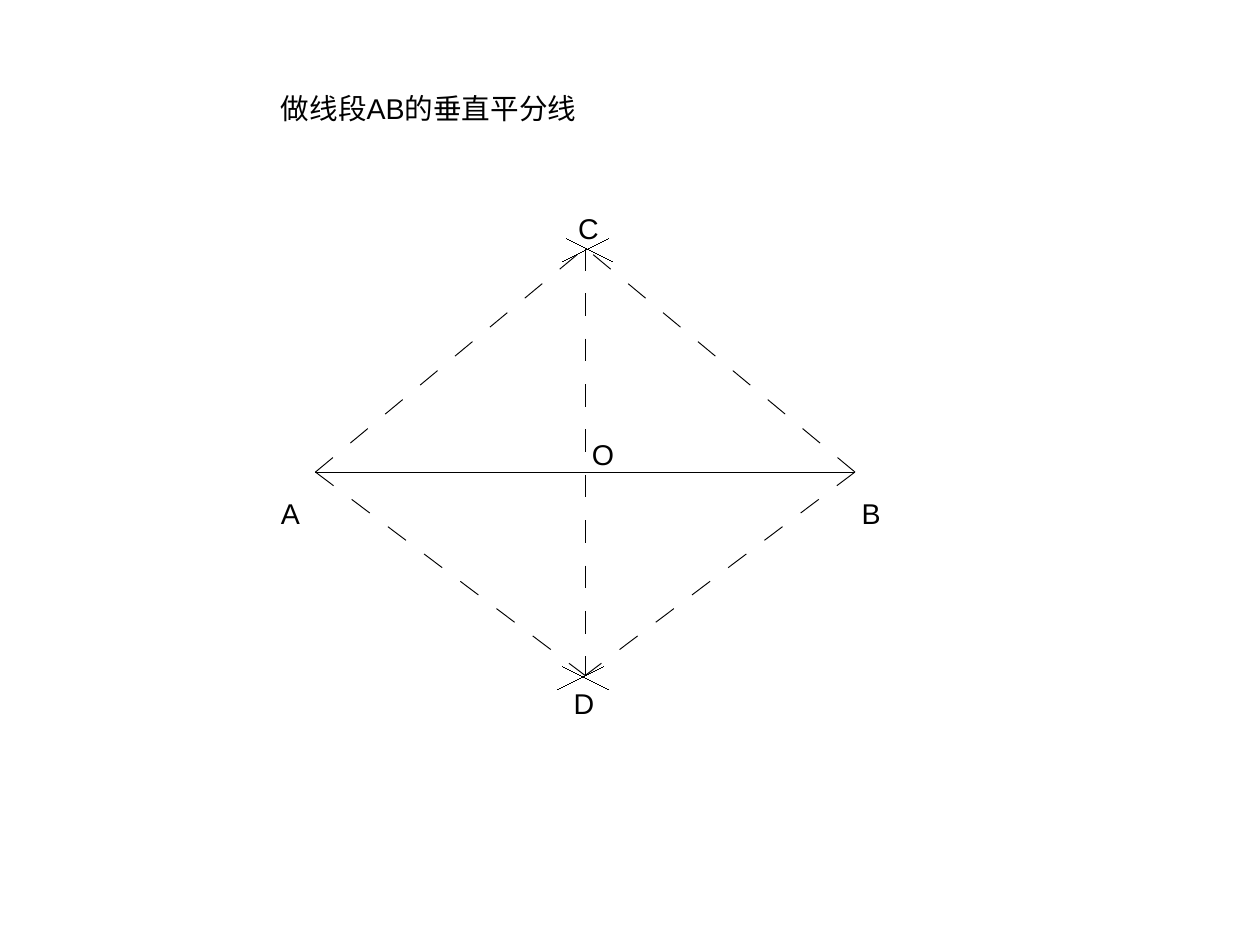
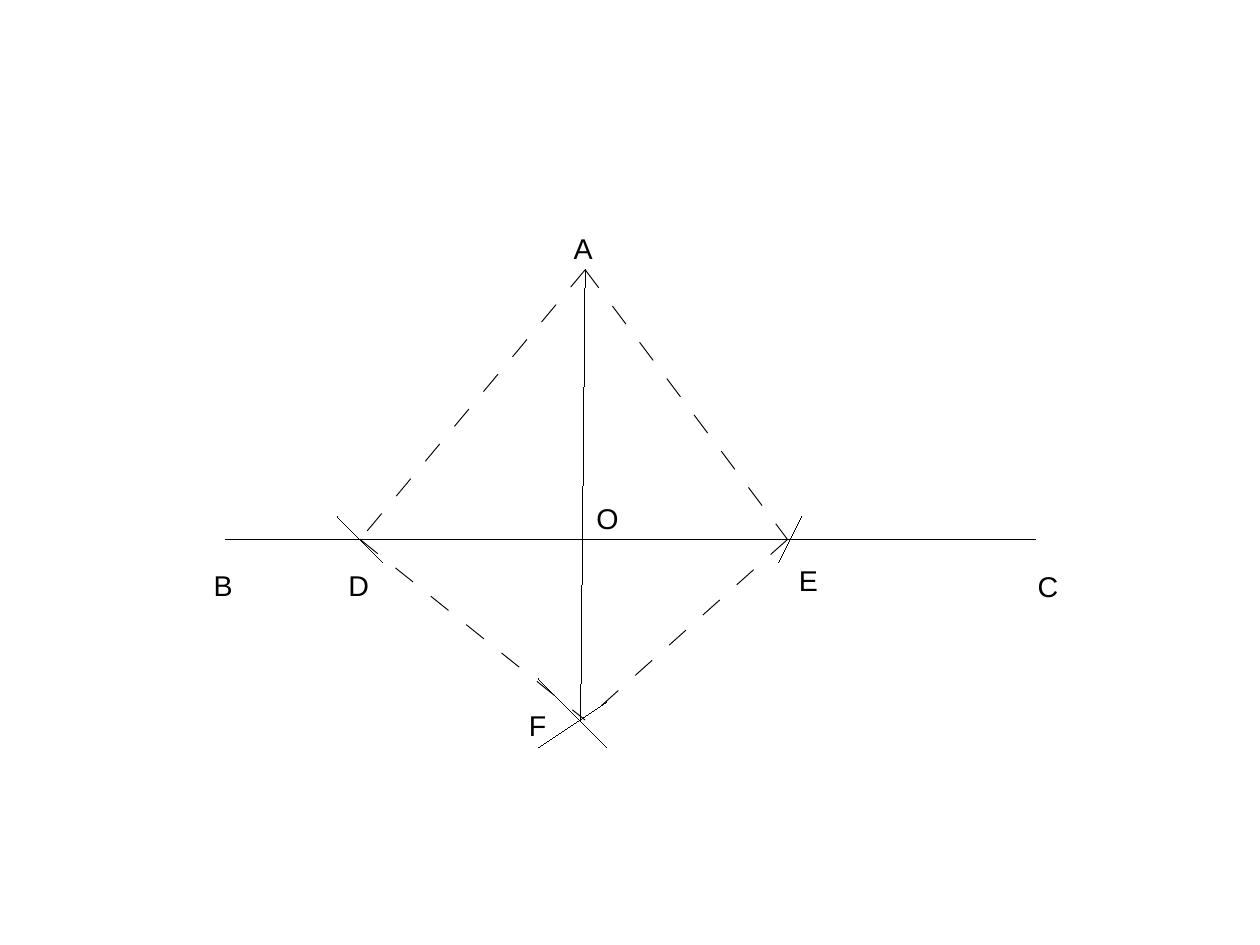
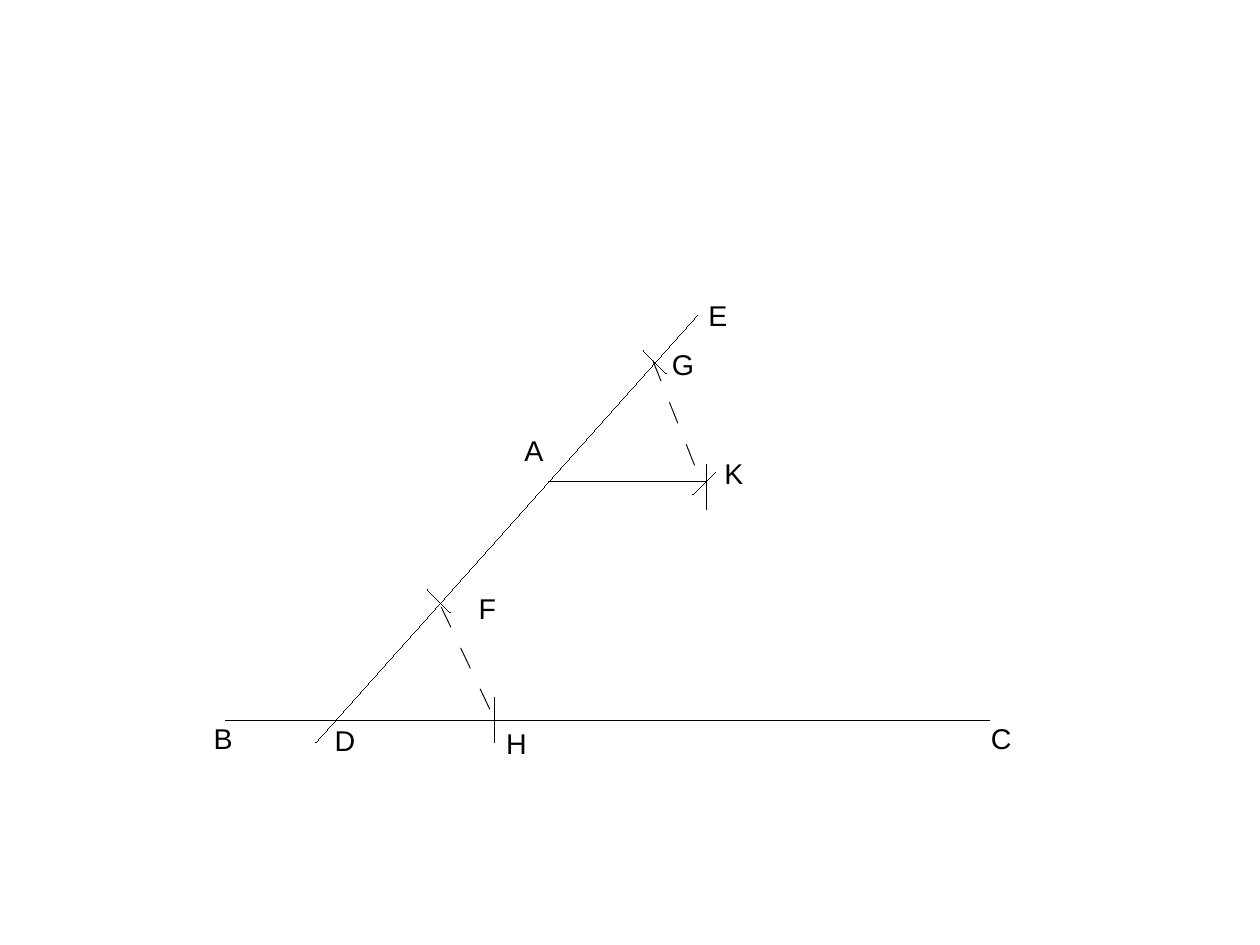
from dataclasses import dataclass

from lxml import etree
from pptx import Presentation
from pptx.dml.color import RGBColor
from pptx.enum.shapes import MSO_CONNECTOR
from pptx.oxml.ns import qn
from pptx.util import Inches, Pt

STRAIGHT = MSO_CONNECTOR.STRAIGHT
CM_PER_INCH = 2.54


@dataclass(frozen=True)
class Theme:
    ink: RGBColor = RGBColor(0, 0, 0)
    font: str = "Arial"
    size: float = 18
    solid_width: float = 0.01
    dashed_width: float = 0.6
    dash_length: float = 0.2


@dataclass(frozen=True)
class Box:
    left: float
    top: float
    width: float
    height: float


THEME = Theme()


def add_text(s, left, top, width, text):
    tb = s.shapes.add_textbox(Inches(left), Inches(top), Inches(width), Inches(0.38))
    tf = tb.text_frame
    tf.word_wrap = True
    p = tf.paragraphs[0]
    p.text = text
    p.font.name = THEME.font
    p.font.size = Pt(THEME.size)
    p.font.color.rgb = THEME.ink


class Figure:
    def __init__(self, s, box, points):
        self.s, self.box, self.points = s, box, points

    def line(self, start, end, dashed=False):
        ends = [Inches(v + o) for point in (start, end)
                for v, o in zip(point, (self.box.left, self.box.top))]
        c = self.s.shapes.add_connector(STRAIGHT, *ends)
        width = THEME.dashed_width if dashed else THEME.solid_width
        c.line.color.rgb = THEME.ink
        c.line.width = Pt(width)
        if dashed:
            ratio = str(round(THEME.dash_length * 72 / width * 100000))
            dash = etree.SubElement(c.line._get_or_add_ln(), qn("a:custDash"))
            etree.SubElement(dash, qn("a:ds"), d=ratio, sp=ratio)
        etree.SubElement(c._element.spPr, qn("a:effectLst"))

    def segments(self, pairs, dashed=False):
        for start, end in pairs:
            self.line(self.points[start], self.points[end], dashed)

    def ticks(self, marks):
        for x, y, dx, dy in marks:
            self.line((x - dx, y - dy), (x + dx, y + dy))

    def labels(self, offsets):
        for name, (dx, dy) in offsets.items():
            x, y = self.points[name]
            add_text(self.s, self.box.left + x + dx, self.box.top + y + dy, 0.4, name)


def bisector(s, box):
    mid, base = box.width / 2, 1.96
    fig = Figure(s, box, {
        "A": (0, base), "B": (box.width, base), "O": (mid, base),
        "C": (mid, 0), "D": (mid, box.height),
    })
    add_text(s, box.left - 0.4, box.top - 1.42, 3.2, "做线段AB的垂直平分线")
    fig.segments(["AB"])
    fig.segments(["AC", "BC", "AD", "BD", "CD"], dashed=True)
    low = box.height + 0.02
    fig.ticks([(mid, 0.02, 0.2, -0.1), (mid + 0.04, 0.02, 0.2, 0.1),
               (mid - 0.04, low, 0.2, -0.1), (mid, low, 0.2, 0.1)])
    fig.labels({"A": (-0.4, 0.16), "B": (-0.04, 0.16), "C": (-0.16, -0.37),
                "D": (-0.2, 0.04), "O": (-0.04, -0.36)})


def perpendicular(s, box):
    mid, base = 3.15, 2.36
    fig = Figure(s, box, {
        "A": (mid, 0), "B": (0, base), "C": (box.width, base), "D": (1.18, base),
        "E": (4.92, base), "F": (mid, box.height), "O": (mid, base),
    })
    fig.segments(["BC"])
    fig.line(fig.points["A"], (mid - 0.04, box.height))
    fig.segments(["AD", "AE", "DF", "EF"], dashed=True)
    fig.ticks([(1.18, base, 0.2, 0.2), (4.94, base, -0.1, 0.2),
               (3.04, 3.98, 0.3, -0.2), (3.04, 3.88, 0.3, 0.3)])
    fig.labels({"A": (-0.2, -0.39), "B": (-0.2, 0.2), "C": (-0.08, 0.21),
                "D": (-0.2, 0.2), "E": (0, 0.16), "F": (-0.59, -0.16),
                "O": (0, -0.39)})


def parallel(s, box):
    base, level = box.height, 1.45
    fig = Figure(s, box, {
        "A": (2.83, level), "B": (0, base), "C": (box.width, base), "D": (0.97, base),
        "E": (4.13, 0), "F": (1.87, 2.5), "G": (3.76, 0.41), "H": (2.36, base),
        "K": (4.21, level),
    })
    fig.segments(["BC", "AK"])
    fig.line((0.79, base + 0.2), fig.points["E"])
    fig.line((1.89, 2.55), fig.points["H"], dashed=True)
    fig.line((3.74, 0.39), (4.13, 1.37), dashed=True)
    fig.ticks([(1.87, 2.5, 0.1, 0.1), (3.76, 0.41, 0.1, 0.1), (2.36, base, 0, 0.2),
               (4.21, 1.5, 0, 0.2), (4.19, 1.47, 0.1, -0.1)])
    fig.labels({"A": (-0.31, -0.47), "B": (-0.2, -0.04), "C": (-0.09, -0.04),
                "D": (-0.11, -0.02), "E": (0, -0.2), "F": (0.25, -0.14),
                "G": (0.05, -0.18), "H": (0, 0), "K": (0.06, -0.27)})


def main():
    prs = Presentation()
    prs.slide_width = Inches(28 / CM_PER_INCH)
    prs.slide_height = Inches(21 / CM_PER_INCH)
    blank = prs.slide_layouts[6]
    for build, box in (
        (bisector, Box(2.76, 2.17, 4.72, 3.74)),
        (perpendicular, Box(1.97, 2.36, 7.09, 3.94)),
        (parallel, Box(1.97, 2.76, 6.69, 3.54)),
    ):
        build(prs.slides.add_slide(blank), box)
    prs.save("out.pptx")


if __name__ == "__main__":
    main()
